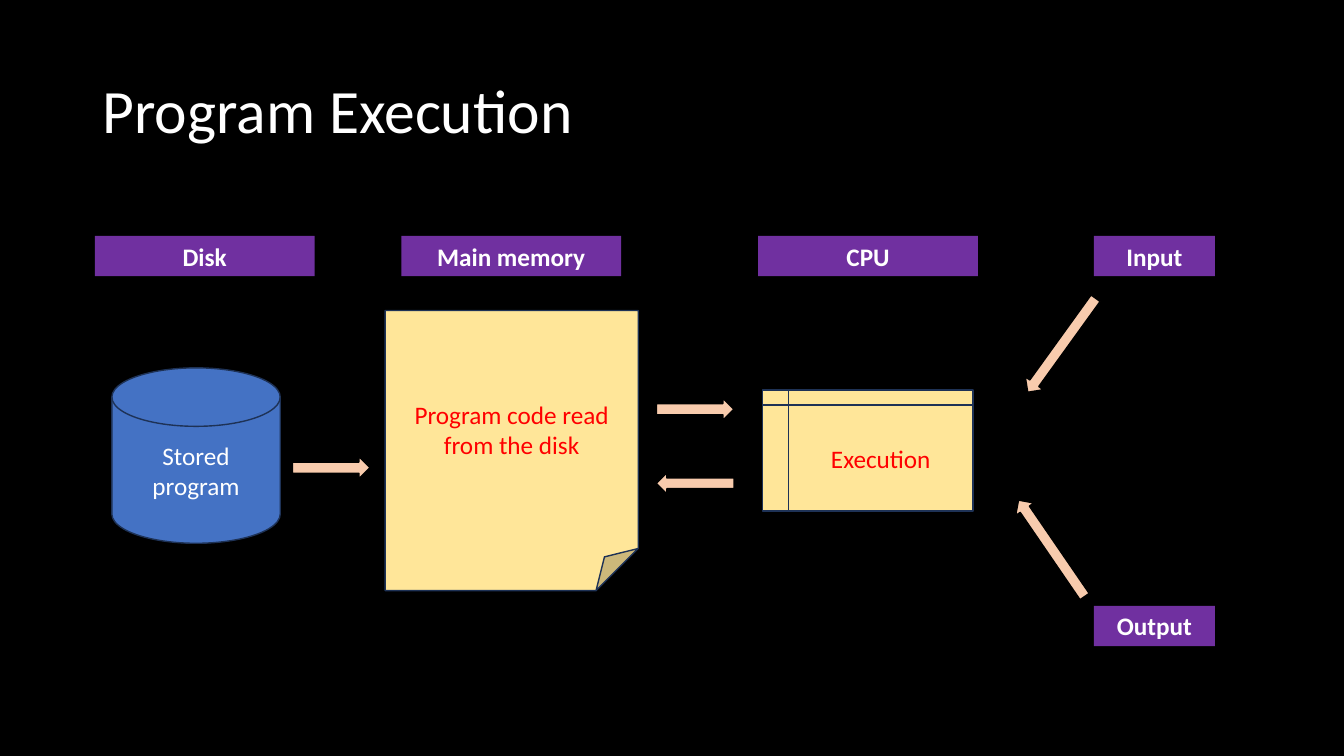
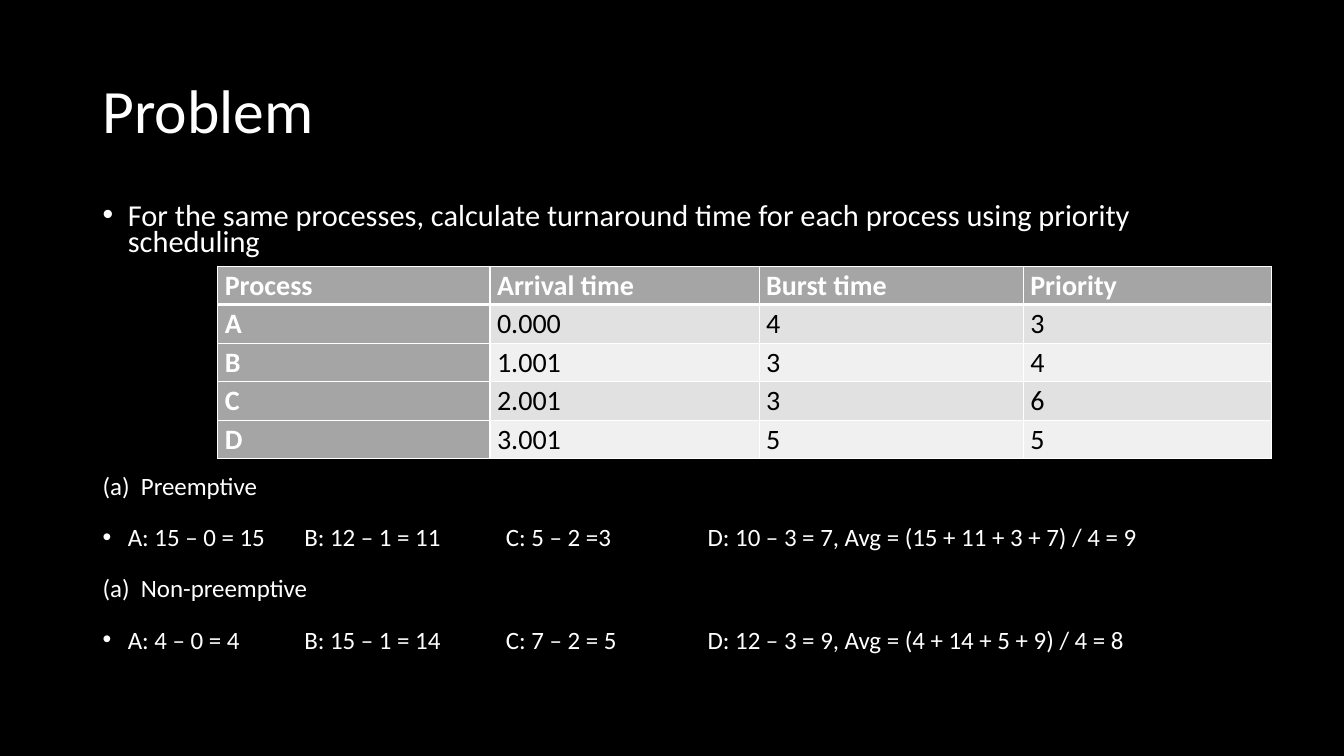
import pptx
import pptx.util
import pptx.dml.color
import pptx.enum.shapes
import pptx.enum.text
import pptx.oxml
import pptx.oxml.ns

Inches = pptx.util.Inches
Pt = pptx.util.Pt
RGBColor = pptx.dml.color.RGBColor
SHAPE = pptx.enum.shapes.MSO_SHAPE
ALIGN = pptx.enum.text.PP_ALIGN
ANCHOR = pptx.enum.text.MSO_ANCHOR

BLACK = RGBColor(0x00, 0x00, 0x00)
WHITE = RGBColor(0xFF, 0xFF, 0xFF)
RED = RGBColor(0xFF, 0x00, 0x00)
PURPLE = RGBColor(0x70, 0x30, 0xA0)
CREAM = RGBColor(0xFF, 0xE6, 0x99)
PEACH = RGBColor(0xF8, 0xCB, 0xAD)
BLUE = RGBColor(0x44, 0x72, 0xC4)
NAVY = RGBColor(0x1E, 0x32, 0x56)
GRAY = RGBColor(0xA5, 0xA5, 0xA5)
BANDS = (RGBColor(0xE1, 0xE1, 0xE1), RGBColor(0xF0, 0xF0, 0xF0))

FONT = "Calibri"
HEAD = (0.92, 0.4, 11.5, 1.45)
DOT = ('<a:buFont %s typeface="Arial"/>', '<a:buChar %s char="•"/>')
ALPHA = ('<a:buAutoNum %s type="alphaLcParenBoth"/>',)

TITLE = {"line_spacing": 0.9}
CENTER = {"alignment": ALIGN.CENTER}
PROMPT = {"line_spacing": 0.7}
ANSWER = {"line_spacing": 0.87, "space_after": Pt(8)}
CELL = {"line_spacing": 1.07, "space_after": Pt(8)}
INSETS = {
    "margin_left": Inches(0.07),
    "margin_right": Inches(0.07),
    "margin_top": 0,
    "margin_bottom": 0,
}


def apply(item, values):
    for name, value in values.items():
        setattr(item, name, value)


def add_xml(parent, xml):
    parent.append(pptx.oxml.parse_xml(xml % pptx.oxml.ns.nsdecls("a")))


def write(para, text, size, color, style, bold=False):
    apply(para, style)
    run = para.add_run()
    run.text = text
    apply(run.font, {"name": FONT, "size": Pt(size), "bold": bold})
    run.font.color.rgb = color


def add_box(slide, box):
    frame = slide.shapes.add_textbox(*map(Inches, box)).text_frame
    frame.word_wrap = True
    return frame


def add_bullet(para, marks, indent):
    props = para._p.get_or_add_pPr()
    sizes = {"marL": indent, "indent": -indent, "defTabSz": 1}
    for name, size in sizes.items():
        props.set(name, str(Inches(size)))
    for mark in marks:
        add_xml(props, mark)


def add_slide(deck, title):
    slide = deck.slides.add_slide(deck.slide_layouts[6])
    slide.background.fill.solid()
    slide.background.fill.fore_color.rgb = BLACK
    frame = add_box(slide, HEAD)
    frame.vertical_anchor = ANCHOR.MIDDLE
    write(frame.paragraphs[0], title, 44, WHITE, TITLE)
    return slide


def add_form(slide, kind, box, fill, line=None):
    form = slide.shapes.add_shape(kind, *map(Inches, box))
    form.shadow.inherit = False
    form.fill.solid()
    form.fill.fore_color.rgb = fill
    if line is None:
        form.line.fill.background()
    else:
        form.line.color.rgb = line
        form.line.width = Pt(1)
    return form


def draw_flow(slide, left, top):
    labels = [
        ("Disk", 0, 0, 2.18),
        ("Main memory", 3.04, 0, 2.18),
        ("CPU", 6.58, 0, 2.18),
        ("Input", 9.91, 0, 1.2),
        ("Output", 9.91, 3.67, 1.2),
    ]
    for text, x, y, width in labels:
        form = add_form(slide, SHAPE.RECTANGLE, (left + x, top + y, width, 0.4), PURPLE)
        form.text_frame.vertical_anchor = ANCHOR.TOP
        write(form.text_frame.paragraphs[0], text, 18, WHITE, CENTER, True)

    stages = [
        ("Stored program", SHAPE.FLOWCHART_MAGNETIC_DISK, 0.17, 1.31, 1.67, 1.74, BLUE, WHITE),
        ("Program code read from the disk", SHAPE.FOLDED_CORNER, 2.88, 0.74, 2.51, 2.78, CREAM, RED),
        ("Execution", SHAPE.FLOWCHART_INTERNAL_STORAGE, 6.62, 1.53, 2.09, 1.2, CREAM, RED),
    ]
    for text, kind, x, y, width, height, fill, color in stages:
        form = add_form(slide, kind, (left + x, top + y, width, height), fill, NAVY)
        write(form.text_frame.paragraphs[0], text, 18, color, CENTER)

    arrows = [
        (SHAPE.RIGHT_ARROW, 1.96, 2.19, 0.77, 0.22, 0),
        (SHAPE.RIGHT_ARROW, 5.57, 1.61, 0.77, 0.22, 0),
        (SHAPE.LEFT_ARROW, 5.57, 2.35, 0.77, 0.21, 0),
        (SHAPE.DOWN_ARROW, 9.48, 0.51, 0.22, 1.15, 35.8),
        (SHAPE.UP_ARROW, 9.38, 2.52, 0.22, 1.16, 325.6),
    ]
    for kind, x, y, width, height, angle in arrows:
        form = add_form(slide, kind, (left + x, top + y, width, height), PEACH, BLACK)
        form.rotation = angle


def add_edges(cell, row):
    widths = {"lnL": 1, "lnR": 1, "lnT": 3 if row == 1 else 1, "lnB": 3 if row == 0 else 1}
    for tag, width in widths.items():
        add_xml(
            cell._tc.get_or_add_tcPr(),
            f'<a:{tag} %s w="{Pt(width)}"><a:solidFill><a:srgbClr val="{WHITE}"/></a:solidFill></a:{tag}>',
        )


def draw_table(slide, box, widths, rows):
    table = slide.shapes.add_table(len(rows), len(widths), *map(Inches, box)).table
    for column, width in zip(table.columns, widths):
        column.width = Inches(width)
    for r, values in enumerate(rows):
        table.rows[r].height = Inches(box[3] / len(rows))
        for c, text in enumerate(values):
            cell = table.cell(r, c)
            head = r == 0 or c == 0
            apply(cell, INSETS)
            add_edges(cell, r)
            cell.fill.solid()
            cell.fill.fore_color.rgb = GRAY if head else BANDS[(r - 1) % 2]
            color = WHITE if head else BLACK
            write(cell.text_frame.paragraphs[0], text, 20, color, CELL, head)


def draw_list(slide, box, size, style, items):
    frame = add_box(slide, box)
    for i, (text, marks, indent) in enumerate(items):
        para = frame.add_paragraph() if i else frame.paragraphs[0]
        if i:
            para.space_before = Pt(10)
        add_bullet(para, marks, indent)
        write(para, text, size, WHITE, style)


def main():
    deck = pptx.Presentation()
    apply(deck, {"slide_width": Inches(13.33), "slide_height": Inches(7.5)})

    draw_flow(add_slide(deck, "Program Execution"), 0.94, 2.34)

    slide = add_slide(deck, "Problem")
    prompt = "For the same processes, calculate turnaround time for each process using priority scheduling"
    draw_list(slide, (0.92, 2, 11.5, 0.64), 21.7, PROMPT, [(prompt, DOT, 0.25)])
    rows = [
        ("Process", "Arrival time", "Burst time", "Priority"),
        ("A", "0.000", "4", "3"),
        ("B", "1.001", "3", "4"),
        ("C", "2.001", "3", "6"),
        ("D", "3.001", "5", "5"),
    ]
    draw_table(slide, (2.16, 2.64, 10.45, 1.91), (2.7, 2.67, 2.62, 2.46), rows)
    answers = [
        ("Preemptive", ALPHA, 0.38),
        ("A: 15 – 0 = 15\tB: 12 – 1 = 11\tC: 5 – 2 =3\tD: 10 – 3 = 7, Avg = (15 + 11 + 3 + 7) / 4 = 9", DOT, 0.25),
        ("Non-preemptive", ALPHA, 0.38),
        ("A: 4 – 0 = 4\tB: 15 – 1 = 14\tC: 7 – 2 = 5\tD: 12 – 3 = 9, Avg = (4 + 14 + 5 + 9) / 4 = 8", DOT, 0.25),
    ]
    draw_list(slide, (0.92, 4.66, 11.5, 2.1), 17.8, ANSWER, answers)

    deck.save("out.pptx")


if __name__ == "__main__":
    main()
